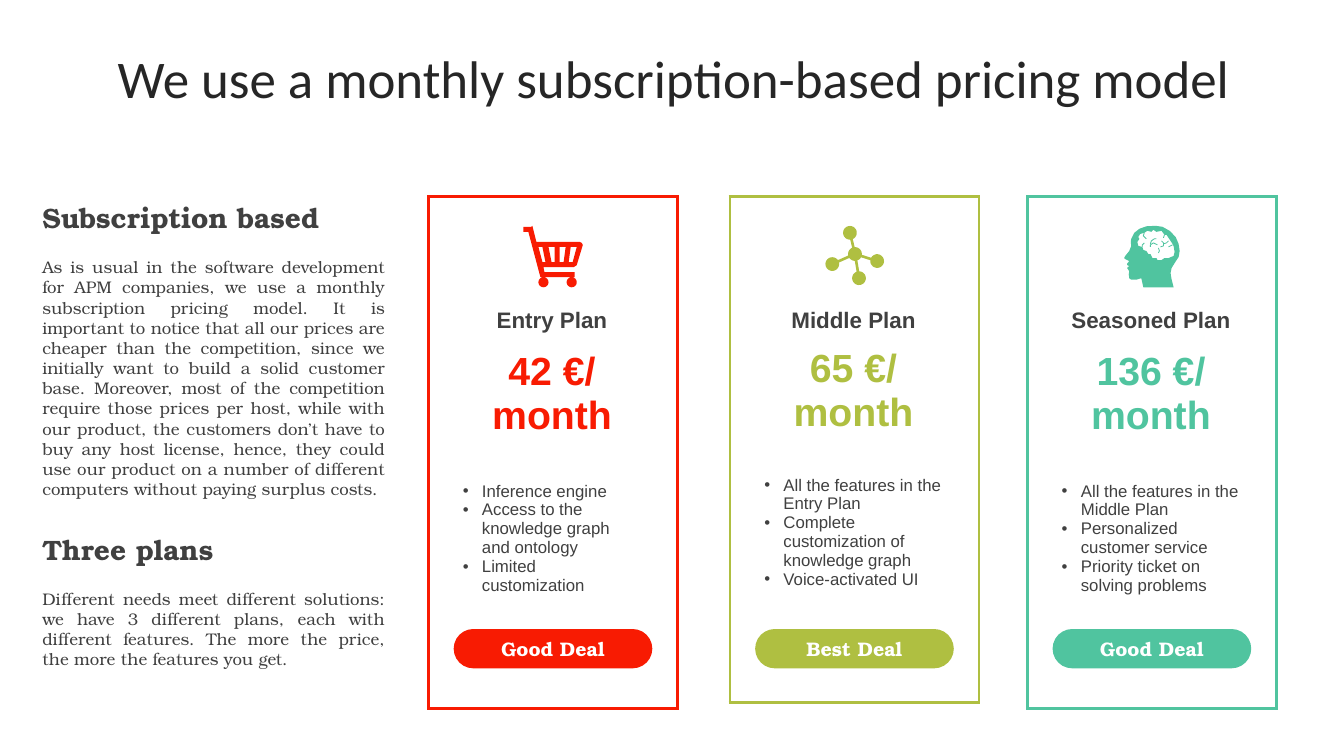
import math
import pptx
import pptx.util
import pptx.dml.color
import pptx.enum.shapes
import pptx.enum.text
import pptx.oxml.ns
import lxml.etree

Inches, Pt = pptx.util.Inches, pptx.util.Pt
RGBColor = pptx.dml.color.RGBColor
ALIGN = pptx.enum.text.PP_ALIGN
MIDDLE = pptx.enum.text.MSO_ANCHOR.MIDDLE
SHAPE = pptx.enum.shapes.MSO_SHAPE

RED = RGBColor(0xF8, 0x1B, 0x02)
OLIVE = RGBColor(0xAF, 0xBF, 0x41)
TEAL = RGBColor(0x50, 0xC4, 0x9F)
WHITE = RGBColor(0xFF, 0xFF, 0xFF)
DARK = RGBColor(0x26, 0x26, 0x26)
GREY = RGBColor(0x40, 0x40, 0x40)
SERIF = "TeX Gyre Bonum"

# Icon outlines, in hundredths of an inch from the icon's corner
CART = [
    [(9, 0), (13, 16), (56, 16), (58, 17), (59, 19), (53, 39), (50, 41), (20, 41), (21, 46),
     (51, 46), (51, 51), (17, 51), (5, 6), (0, 6), (0, 1), (8, 1)],
    [(47, 21), (45, 36), (49, 36), (53, 21)],
    [(36, 21), (36, 36), (40, 36), (42, 21)],
    [(25, 21), (28, 36), (31, 36), (31, 21)],
    [(15, 21), (19, 36), (22, 36), (19, 21)],
]
WHEELS = [(20, 56), (48, 56)]
HUB = (29, 28)
NODES = [(24, 7), (51, 35), (33, 52), (6.5, 38)]
HEAD = [
    [(31, 0), (38, 1), (45, 5), (51, 11), (54, 18), (55, 25), (54, 31), (50, 37), (47, 42),
     (46, 47), (47, 53), (49, 61), (19, 61), (17, 52), (12, 53.5), (7, 53.5), (5, 52),
     (4.5, 48), (5, 45), (3, 42), (3.5, 41), (5, 40), (3, 39), (3, 37.5), (5, 35), (1, 33),
     (0, 32), (1, 30), (5, 25), (7, 20), (6.5, 16), (7, 13), (10, 7), (15, 3), (22, 0.5)],
    [(29, 4), (27, 6), (23, 5), (20, 7), (16, 8), (14, 11), (15, 13), (13, 16), (14, 20),
     (18, 21), (19, 24), (22, 25), (24, 28), (26, 28), (28, 32), (32, 32), (33, 34), (37, 34),
     (40, 32), (44, 32), (49, 30), (50, 26), (49, 20), (48, 18), (46, 15), (44, 12), (42, 9),
     (40, 9), (37, 5), (32, 6)],
]
BRAIN_FOLDS = [
    [(20, 7), (19, 10), (22, 13)], [(18, 21), (18, 19), (20, 17)],
    [(26, 21), (26, 19), (29, 17), (33, 19)], [(26, 18), (27, 15), (30, 13), (32, 13)],
    [(34, 27), (35, 25), (34, 22)], [(37, 15), (39, 17), (39, 20), (36, 21)],
    [(39, 18), (42, 17), (44, 15)], [(39, 12), (40, 9)], [(44, 21), (48, 19)],
]


def style(paragraph, size, font, color, bold=False, align=None):
    paragraph.font.size, paragraph.font.name = Pt(size), font
    paragraph.font.bold, paragraph.font.color.rgb = bold, color
    paragraph.alignment = align


def paint(shape, color):
    shape.shadow.inherit = False
    shape.fill.solid()
    shape.fill.fore_color.rgb = color
    shape.line.fill.background()


def arc(center, radius, start, end, steps=24):
    angles = [start + (end - start) * step / steps for step in range(steps + 1)]
    return [(center[0] + radius * math.cos(a), center[1] + radius * math.sin(a)) for a in angles]


def outline(slide, contours, left, top, closed=True):
    def points(contour):
        return [(Inches(x / 100), Inches(y / 100)) for x, y in contour]

    builder = slide.shapes.build_freeform(*points(contours[0])[0])
    for index, contour in enumerate(contours):
        start, *rest = points(contour)
        if index:
            builder.move_to(*start)
        builder.add_line_segments(rest, close=closed)
    return builder.convert_to_shape(Inches(left), Inches(top))


def cart_icon(slide, left, top, color):
    wheels = [arc(wheel, 5, 0, math.tau) for wheel in WHEELS]
    paint(outline(slide, CART + wheels, left, top), color)


def network_icon(slide, left, top, color):
    radius = 6.8
    gap = math.asin(1.3 / radius)  # half the angle a link takes up on a circle
    spokes = sorted((math.atan2(y - HUB[1], x - HUB[0]), (x, y)) for x, y in NODES)
    following = [angle for angle, _ in spokes[1:]] + [spokes[0][0] + math.tau]
    edge = []
    for (angle, node), next_angle in zip(spokes, following):
        edge += arc(node, radius, angle - math.pi + gap, angle + math.pi - gap)
        edge += arc(HUB, radius, angle + gap, next_angle - gap)
    paint(outline(slide, [edge], left, top), color)


def head_icon(slide, left, top, color):
    paint(outline(slide, HEAD, left, top), color)
    folds = outline(slide, BRAIN_FOLDS, left, top, closed=False)
    folds.shadow.inherit = False
    folds.fill.background()
    folds.line.color.rgb, folds.line.width = color, Pt(0.6)


def add_border(cell, side, color):
    properties = cell._tc.get_or_add_tcPr()
    line = lxml.etree.Element(pptx.oxml.ns.qn(f"a:{side}"), w=str(Pt(2.25)))
    if color is None:
        lxml.etree.SubElement(line, pptx.oxml.ns.qn("a:noFill"))
    else:
        fill = lxml.etree.SubElement(line, pptx.oxml.ns.qn("a:solidFill"))
        lxml.etree.SubElement(fill, pptx.oxml.ns.qn("a:srgbClr"), val=str(color))
    # Borders come before the fill, in the order left, right, top, bottom
    properties.insert(len(properties) - 1, line)


def add_bullet(paragraph):
    properties = paragraph._p.get_or_add_pPr()
    properties.set("marL", str(Inches(0.19)))
    properties.set("indent", str(-Inches(0.19)))
    lxml.etree.SubElement(properties, pptx.oxml.ns.qn("a:buFont"), typeface="Arial")
    lxml.etree.SubElement(properties, pptx.oxml.ns.qn("a:buChar"), char="•")


def add_plan(slide, left, top, color, icon, icon_left, name, price, price_height, features, deal):
    # Framed card
    widths, heights = [0.24, 1.97, 0.26], [1.03, 0.41, price_height, 1.82, 0.47, 0.31]
    card = slide.shapes.add_table(
        len(heights), len(widths), Inches(left), Inches(top),
        Inches(sum(widths)), Inches(sum(heights))).table
    card.first_row = card.horz_banding = False
    for column, width in zip(card.columns, widths):
        column.width = Inches(width)
    last_row, last_column = len(heights) - 1, len(widths) - 1
    for r, height in enumerate(heights):
        card.rows[r].height = Inches(height)
        for c in range(len(widths)):
            cell = card.cell(r, c)
            cell.margin_top = cell.margin_bottom = 0
            cell.vertical_anchor = MIDDLE
            cell.fill.solid()
            cell.fill.fore_color.rgb = WHITE
            for side, on_edge in (("lnL", c == 0), ("lnR", c == last_column),
                                  ("lnT", r == 0), ("lnB", r == last_row)):
                add_border(cell, side, color if on_edge else None)

    # Plan name, price and features
    for r, text, size, ink in ((1, name, 16, GREY), (2, price, 28, color)):
        card.cell(r, 1).text = text
        style(card.cell(r, 1).text_frame.paragraphs[0], size, "Arial", ink, True, ALIGN.CENTER)
    card.cell(3, 1).text = "\n".join(features)
    for feature in card.cell(3, 1).text_frame.paragraphs:
        add_bullet(feature)
        style(feature, 12, "Arial", GREY)

    # Deal button
    button = slide.shapes.add_shape(SHAPE.ROUNDED_RECTANGLE, Inches(left + 0.25),
                                    Inches(top + 4.29), Inches(1.97), Inches(0.39))
    button.adjustments[0] = 0.5
    paint(button, color)
    button.text_frame.text = deal
    button.text_frame.vertical_anchor = MIDDLE
    style(button.text_frame.paragraphs[0], 14, SERIF, WHITE, True, ALIGN.CENTER)

    icon(slide, left + icon_left, top + 0.29, color)


def add_section(slide, left, top, heading, body, body_height):
    for text, offset, width, height, size, bold, align in (
            (heading, 0, 3.47, 0.44, 20, True, ALIGN.LEFT),
            (body, 0.56, 3.64, body_height, 12, False, ALIGN.JUSTIFY)):
        frame = slide.shapes.add_textbox(Inches(left), Inches(top + offset),
                                         Inches(width), Inches(height)).text_frame
        frame.word_wrap = True
        frame.margin_left = frame.margin_right = Inches(0.12)
        frame.text = text
        style(frame.paragraphs[0], size, SERIF, GREY, bold, align)


def add_title(slide, left, top, width, height, text):
    title = slide.shapes.title
    title.left, title.top = Inches(left), Inches(top)
    title.width, title.height = Inches(width), Inches(height)
    title.text_frame.text = text
    title.text_frame.auto_size = pptx.enum.text.MSO_AUTO_SIZE.NONE
    title.text_frame.vertical_anchor = MIDDLE
    style(title.text_frame.paragraphs[0], 37.8, "Calibri", DARK, align=ALIGN.CENTER)


def main():
    deck = pptx.Presentation()
    deck.slide_width, deck.slide_height = Inches(13.33), Inches(7.5)
    slide = deck.slides.add_slide(deck.slide_layouts[5])
    add_title(slide, 0.35, 0.37, 12.66, 0.79, "We use a monthly subscription-based pricing model")
    add_section(slide, 0.3, 1.94, "Subscription based", "As is usual in the software development for APM companies, we use a monthly subscription pricing model. It is important to notice that all our prices are cheaper than the competition, since we initially want to build a solid customer base. Moreover, most of the competition require those prices per host, while with our product, the customers don’t have to buy any host license, hence, they could use our product on a number of different computers without paying surplus costs.", 2.52)
    add_section(slide, 0.3, 5.23, "Three plans", "Different needs meet different solutions: we have 3 different plans, each with different features. The more the price, the more the features you get.", 0.91)
    add_plan(slide, 4.25, 1.95, RED, cart_icon, 0.94, "Entry Plan", "42 €/\vmonth", 1.04,
             ["Inference engine", "Access to the knowledge graph and ontology",
              "Limited customization"], "Good Deal")
    add_plan(slide, 7.24, 1.95, OLIVE, network_icon, 0.95, "Middle Plan", "65 €/\vmonth", 0.98,
             ["All the features in the Entry Plan", "Complete customization of knowledge graph",
              "Voice-activated UI"], "Best Deal")
    add_plan(slide, 10.19, 1.95, TEAL, head_icon, 0.96, "Seasoned Plan", "136 €/\vmonth", 1.04,
             ["All the features in the Middle Plan", "Personalized customer service",
              "Priority ticket on solving problems"], "Good Deal")
    deck.save("out.pptx")


if __name__ == "__main__":
    main()
